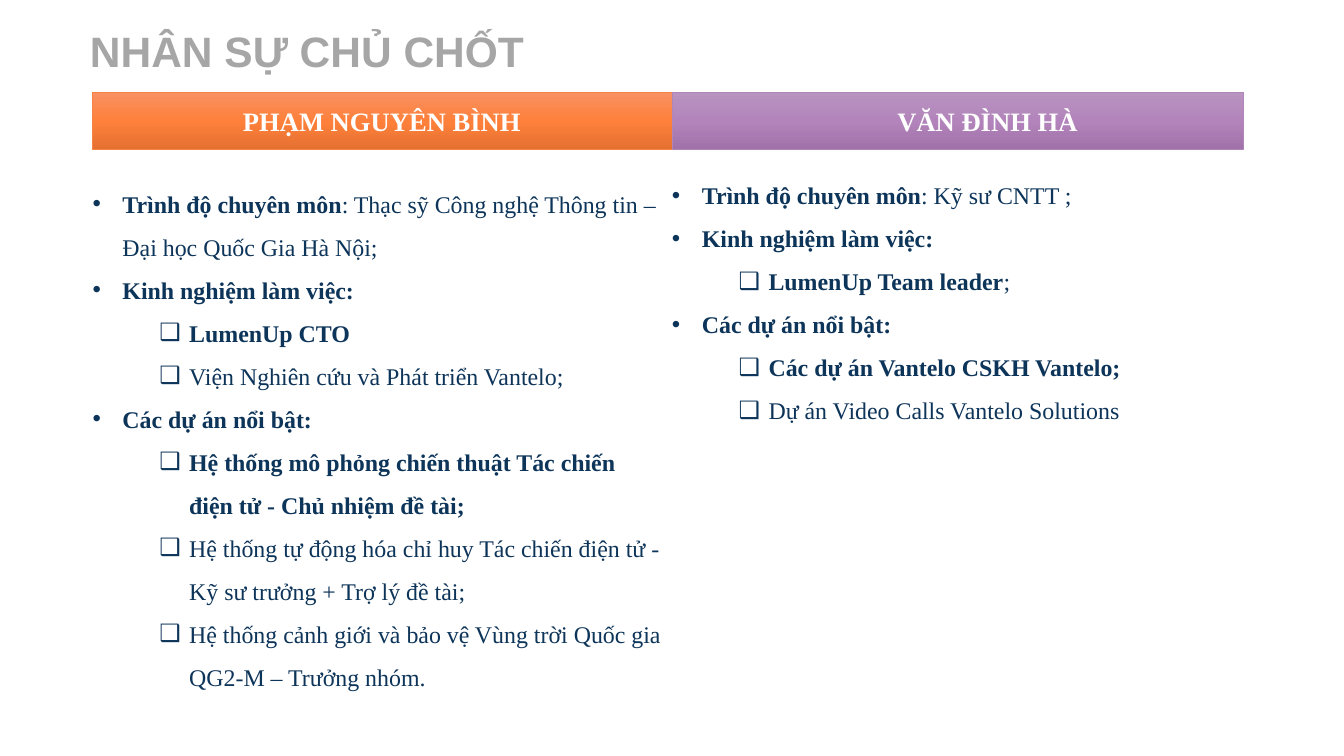
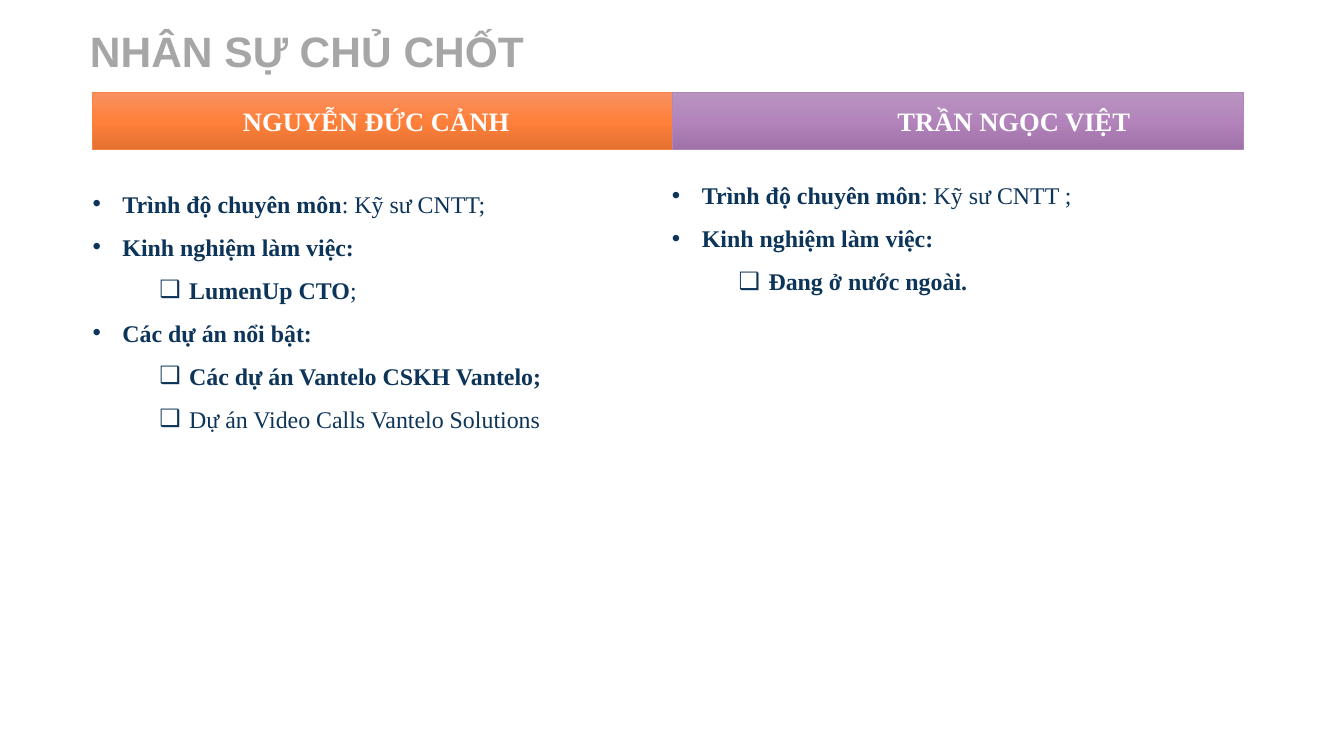
import pptx
import pptx.dml.color
import pptx.enum.shapes
import pptx.enum.text
import pptx.util
import copy
import lxml.etree

Pt = pptx.util.Pt
SANS, SERIF = "Arial", "Times New Roman"
GREY, NAVY, WHITE = "A6A6A6", "0D3459", "FFFFFF"

# Each column: left, band width, name left, text top, gradient, outline
WIDTH = 430.5
COLUMNS = [
    (69.75, 436.5, 183, 131.75, ["F89162", "FE803B", "E57131"], "F58344"),
    (506.25, WIDTH, 676, 125.25, ["B994C0", "B284BB", "A072A9"], "B086B8"),
]
# Each list level: left margin, bullet sign
LEVELS = [(22.5, "•"), (72.75, "❑")]
HANG = 22.5


def rgb(code):
    return pptx.dml.color.RGBColor.from_string(code)


class Deck:
    def __init__(self):
        self.prs = pptx.Presentation()
        self.prs.slide_width, self.prs.slide_height = Pt(1012.5), Pt(569.5)
        self.slide = None

    def start(self, title):
        self.slide = self.prs.slides.add_slide(self.prs.slide_layouts[6])
        frame = self.frame(67.75, 18.5, 428, 39)
        frame.vertical_anchor = pptx.enum.text.MSO_ANCHOR.MIDDLE
        self.line(frame, title, 32, SANS, GREY)

    def frame(self, left, top, width, height):
        box = self.slide.shapes.add_textbox(
            Pt(left), Pt(top), Pt(width), Pt(height))
        frame = box.text_frame
        frame.word_wrap = True
        frame.margin_left = frame.margin_right = 0
        frame.margin_top = frame.margin_bottom = 0
        return frame

    def style(self, par, size, face, color):
        font = par.font
        font.size, font.name, font.bold = Pt(size), face, True
        font.color.rgb = rgb(color)

    def line(self, frame, text, size, face, color):
        par = frame.paragraphs[0]
        par.text = text
        self.style(par, size, face, color)

    def band(self, left, width, colors, edge):
        rect = self.slide.shapes.add_shape(
            pptx.enum.shapes.MSO_SHAPE.RECTANGLE,
            Pt(left), Pt(69.5), Pt(width), Pt(43))
        rect.shadow.inherit = False
        rect.line.color.rgb = rgb(edge)
        rect.line.width = Pt(0.5)
        # Add a middle stop to the default two
        rect.fill.gradient()
        rect.fill.gradient_angle = 270
        first = next(rect.fill._xPr.iter(pptx.oxml.ns.qn("a:gs")))
        first.addnext(copy.deepcopy(first))
        for i, stop in enumerate(rect.fill.gradient_stops):
            stop.position = i / 2
            stop.color.rgb = rgb(colors[i])

    def bullet(self, par, level):
        margin, sign = LEVELS[level]
        par.level = level
        par.line_spacing = 1.5
        props = par._p.get_or_add_pPr()
        props.set("marL", str(Pt(margin)))
        props.set("indent", str(-Pt(HANG)))
        for tag, key, value in [("a:buFont", "typeface", SANS),
                                ("a:buChar", "char", sign)]:
            item = lxml.etree.SubElement(props, pptx.oxml.ns.qn(tag))
            item.set(key, value)

    def items(self, left, top, rows):
        frame = self.frame(left, top, WIDTH, len(rows) * 31)
        for i, (level, strong, plain) in enumerate(rows):
            par = frame.add_paragraph() if i else frame.paragraphs[0]
            self.bullet(par, level)
            self.style(par, 18, SERIF, NAVY)
            for text, bold in [(strong, True), (plain, False)]:
                if text:
                    run = par.add_run()
                    run.text = text
                    run.font.bold = bold

    def person(self, column, name, rows):
        left, width, start, top, colors, edge = column
        self.band(left, width, colors, edge)
        self.line(self.frame(start, 79, 250, 24), name, 20, SERIF, WHITE)
        self.items(left, top, rows)


# Wording that recurs: level, bold part, plain part
def degree(text):
    return (0, "Trình độ chuyên môn", ": " + text)


WORK = (0, "Kinh nghiệm làm việc:", "")
KEY = (0, "Các dự án nổi bật:", "")
CALLS = [
    KEY,
    (1, "Các dự án Vantelo CSKH Vantelo;", ""),
    (1, "", "Dự án Video Calls Vantelo Solutions"),
]

# Each slide: one person per column
SLIDES = [
    [
        ("PHẠM NGUYÊN BÌNH", [
            degree("Thạc sỹ Công nghệ Thông tin – Đại học Quốc Gia Hà Nội;"),
            WORK,
            (1, "LumenUp CTO", ""),
            (1, "", "Viện Nghiên cứu và Phát triển Vantelo;"),
            KEY,
            (1, "Hệ thống mô phỏng chiến thuật Tác chiến điện tử"
                " - Chủ nhiệm đề tài;", ""),
            (1, "", "Hệ thống tự động hóa chỉ huy Tác chiến điện tử"
                    " - Kỹ sư trưởng + Trợ lý đề tài;"),
            (1, "", "Hệ thống cảnh giới và bảo vệ Vùng trời Quốc gia"
                    " QG2-M – Trưởng nhóm."),
        ]),
        ("VĂN ĐÌNH HÀ", [
            degree("Kỹ sư CNTT ;"),
            WORK,
            (1, "LumenUp Team leader", ";"),
            *CALLS,
        ]),
    ],
    [
        ("NGUYỄN ĐỨC CẢNH", [
            degree("Kỹ sư CNTT;"),
            WORK,
            (1, "LumenUp CTO", ";"),
            *CALLS,
        ]),
        ("TRẦN NGỌC VIỆT", [
            degree("Kỹ sư CNTT ;"),
            WORK,
            (1, "Đang ở nước ngoài.", ""),
        ]),
    ],
]


def main():
    deck = Deck()
    for people in SLIDES:
        deck.start("NHÂN SỰ CHỦ CHỐT")
        for column, (name, rows) in zip(COLUMNS, people):
            deck.person(column, name, rows)
    deck.prs.save("out.pptx")


if __name__ == "__main__":
    main()
